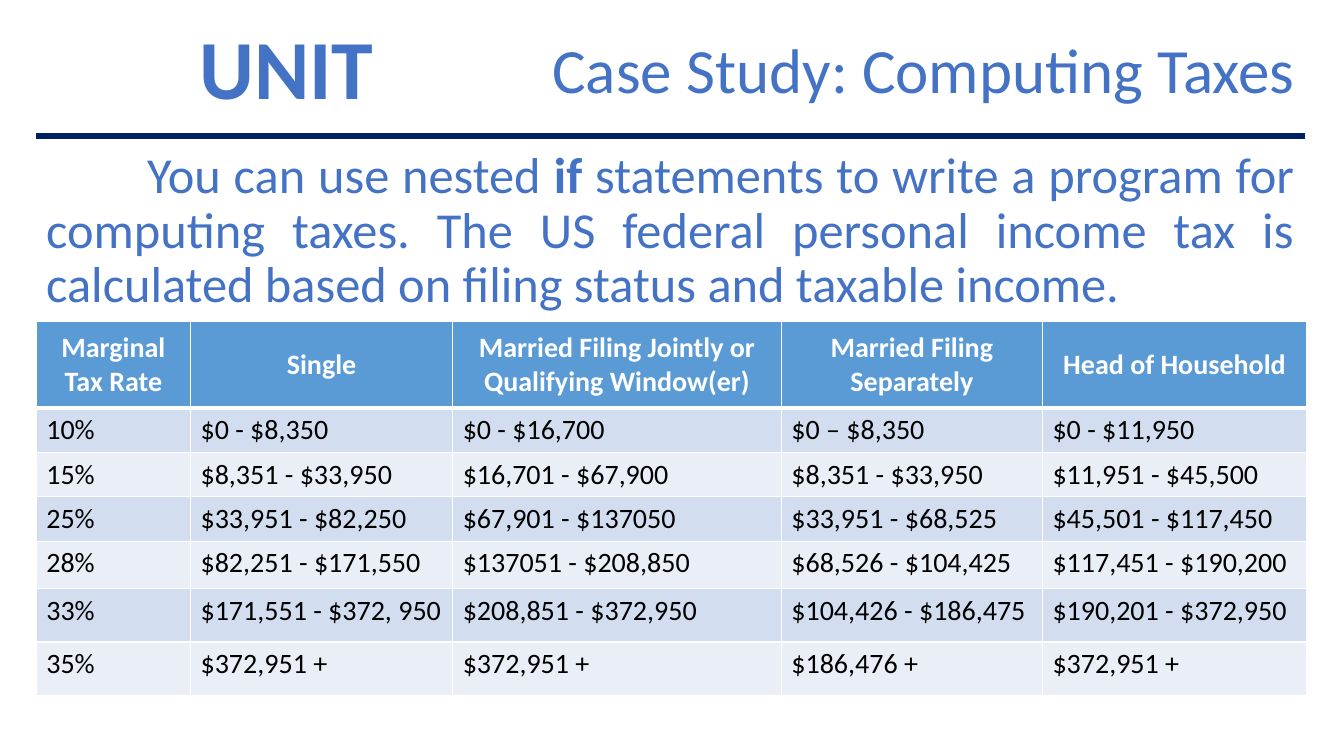
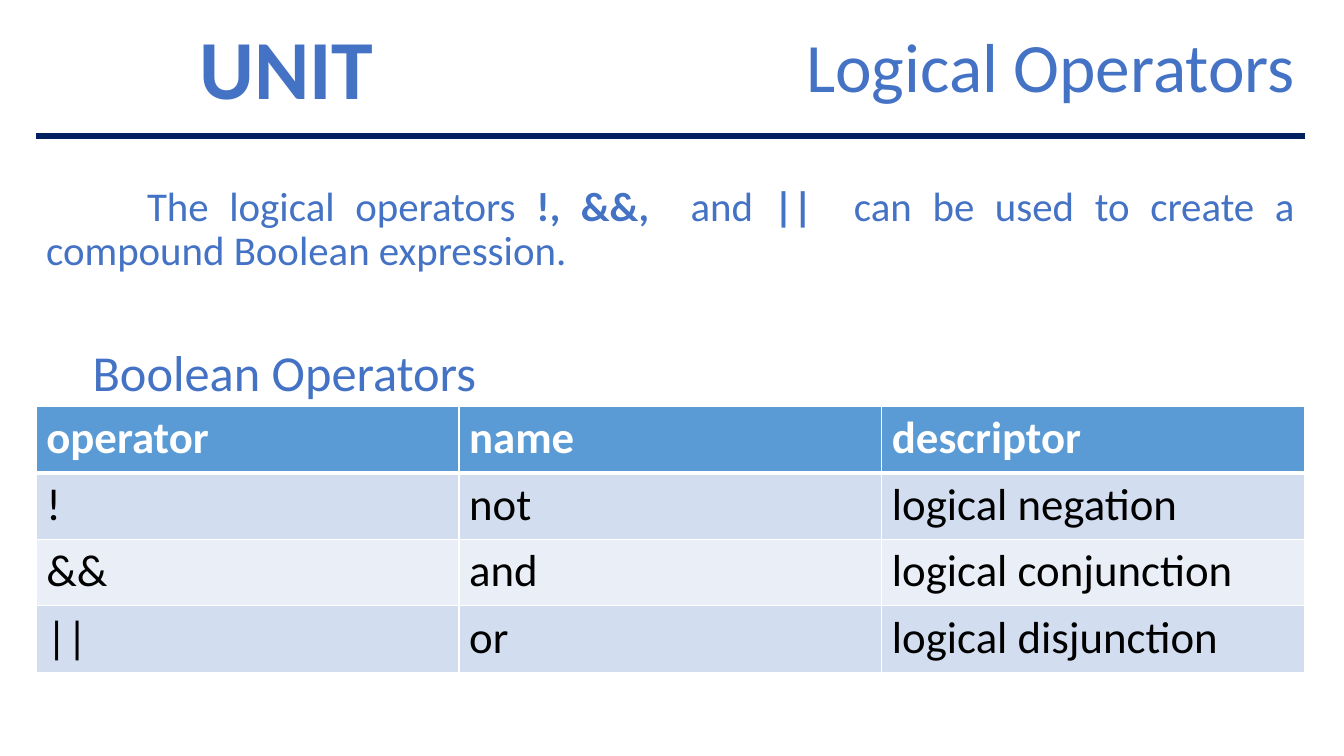
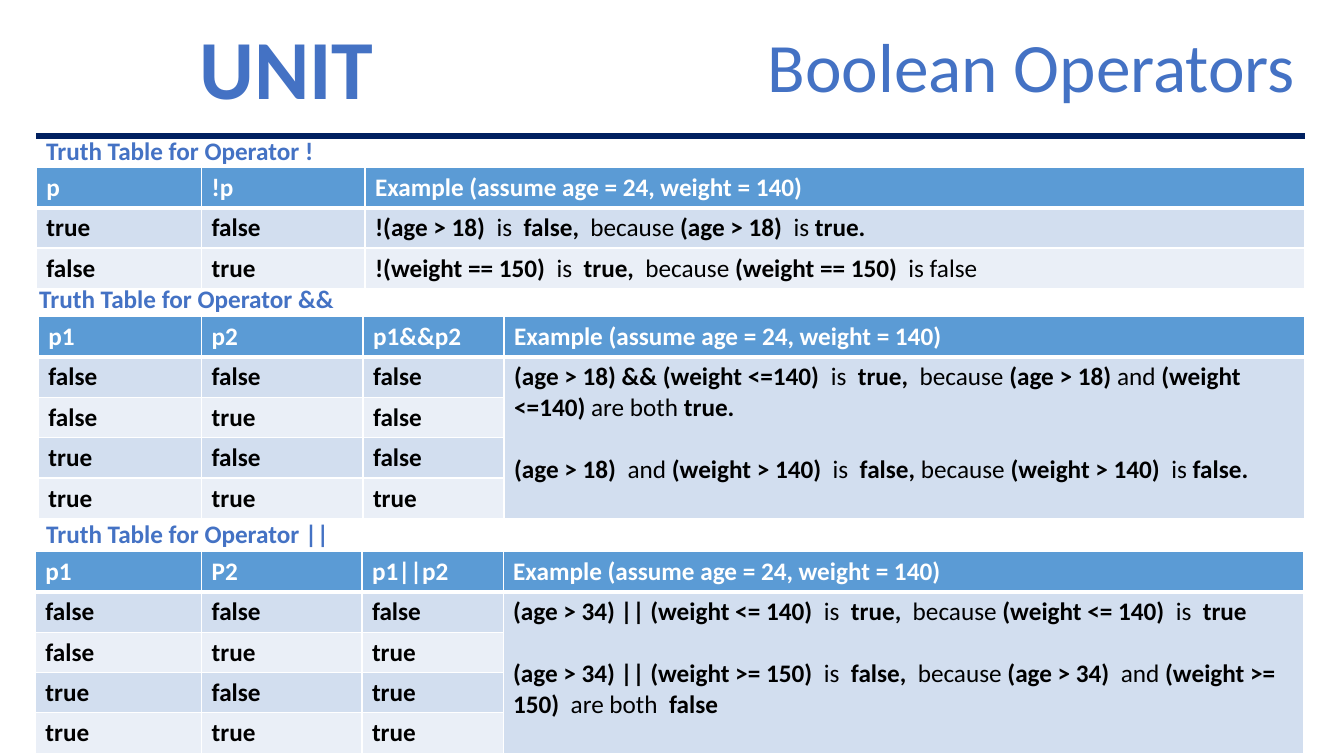
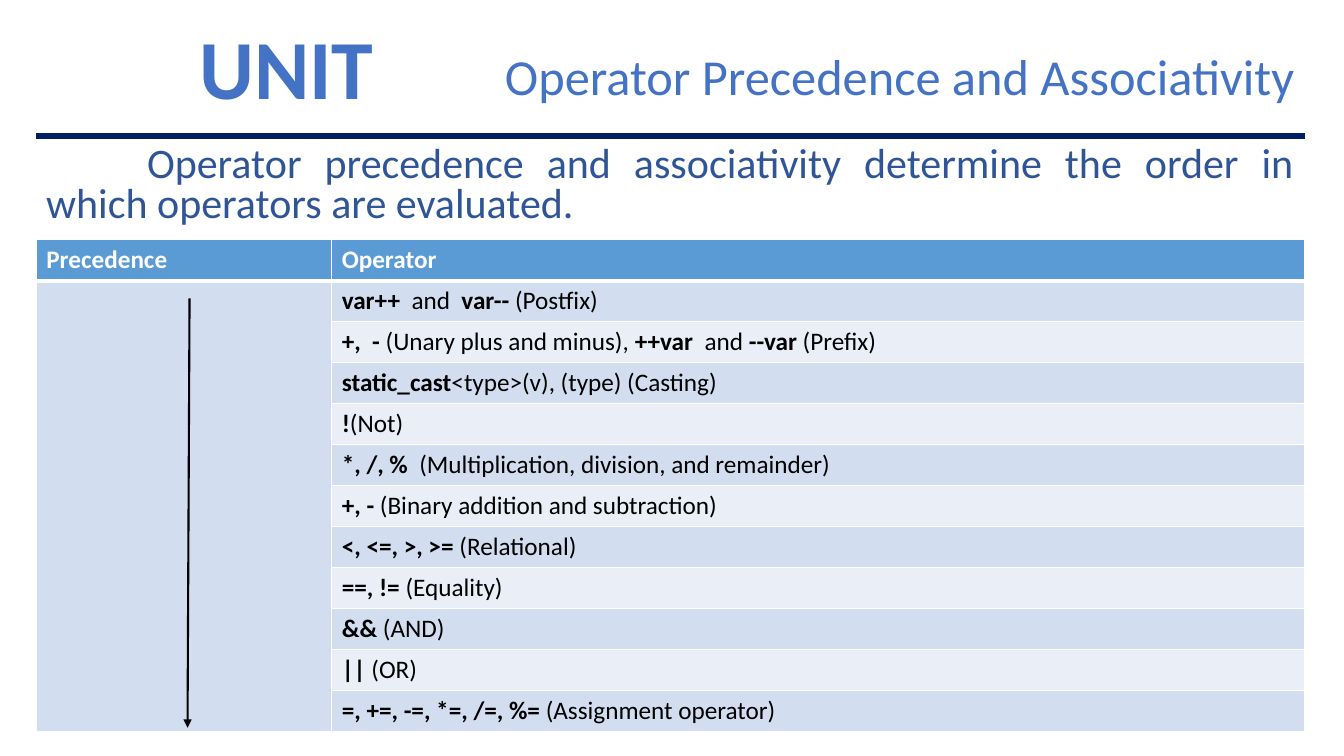
"""Build four slides on tax computation and C++ logical operators."""
import pptx
import pptx.chart.data
import pptx.dml.color
import pptx.enum.shapes
import pptx.enum.text
import pptx.oxml
import pptx.util
from lxml import etree

Inches, Pt = pptx.util.Inches, pptx.util.Pt
RGBColor = pptx.dml.color.RGBColor
ALIGN, ANCHOR = pptx.enum.text.PP_ALIGN, pptx.enum.text.MSO_ANCHOR

BLUE = RGBColor(0x44, 0x72, 0xC4)
DARK_BLUE = RGBColor(0x2F, 0x55, 0x97)
NAVY = RGBColor(0x00, 0x20, 0x60)
HEADER_BLUE = RGBColor(0x5B, 0x9B, 0xD5)
BANDS = RGBColor(0xD2, 0xDE, 0xEF), RGBColor(0xEA, 0xEF, 0xF7)
WHITE, BLACK = RGBColor(255, 255, 255), RGBColor(0, 0, 0)
FONT = "Calibri"
SCHOOL = "UNIT"
LEFT, RIGHT, WIDTH = 0.36, 12.94, 12.58
EXAMPLE = "Example (assume age = 24, weight = 140)"

# Backticks enclose bold words; a cell may hold a list of paragraphs.
TAXES = [
    ["Marginal Tax Rate", "Single", "Married Filing Jointly or Qualifying Window(er)",
     "Married Filing Separately", "Head of Household"],
    ["10%", "$0 - $8,350", "$0 - $16,700", "$0 – $8,350", "$0 - $11,950"],
    ["15%", "$8,351 - $33,950", "$16,701 - $67,900", "$8,351 - $33,950", "$11,951 - $45,500"],
    ["25%", "$33,951 - $82,250", "$67,901 - $137050", "$33,951 - $68,525", "$45,501 - $117,450"],
    ["28%", "$82,251 - $171,550", "$137051 - $208,850", "$68,526 - $104,425", "$117,451 - $190,200"],
    ["33%", "$171,551 - $372, 950", "$208,851 - $372,950", "$104,426 - $186,475", "$190,201 - $372,950"],
    ["35%", "$372,951 +", "$372,951 +", "$186,476 +", "$372,951 +"],
]
OPERATORS = [
    ["operator", "name", "descriptor"],
    ["!", "not", "logical negation"],
    ["&&", "and", "logical conjunction"],
    ["||", "or", "logical disjunction"],
]
NOT_TABLE = [
    ["p", "!p", EXAMPLE],
    ["`true`", "`false`", "`!(age > 18) ` is ` false, ` because `(age > 18) ` is `true.`"],
    ["`false`", "`true`", "`!(weight == 150) ` is ` true, ` because `(weight == 150) ` is false"],
]
AND_EXAMPLES = [
    "`(age > 18) && (weight <=140) ` is ` true, ` because `(age > 18) `and `(weight <=140)` are both `true.`",
    "`(age > 18) ` and `(weight > 140) ` is ` false, `because `(weight > 140) ` is `false.`",
]
OR_EXAMPLES = [
    "`(age > 34) || (weight <= 140) ` is ` true, ` because `(weight <= 140) ` is ` true`",
    "`(age > 34) || (weight >= 150) ` is ` false, ` because `(age > 34) ` and `(weight >= 150) ` are both ` false`",
]
PRECEDENCE = [
    "`var++ ` and  `var-- `(Postfix)",
    "`+,  - `(Unary plus and minus), `++var ` and `--var `(Prefix)",
    "`static_cast`<type>(v), (type) (Casting)",
    "`!`(Not)",
    "`*, /, %`  (Multiplication, division, and remainder)",
    "`+, -` (Binary addition and subtraction)",
    "`<, <=, >, >= `(Relational)",
    "`==, != `(Equality)",
    "`&&` (AND)",
    "`|| `(OR)",
    "`=, +=, -=, *=, /=, %= `(Assignment operator)",
]


def truth_table(header, outcome, examples):
    """Return the rows of a two-operand truth table with its examples."""
    rows = [header + [EXAMPLE]]
    for p1 in (False, True):
        for p2 in (False, True):
            words = [f"`{str(value).lower()}`" for value in (p1, p2, outcome(p1, p2))]
            rows.append(words + [examples if len(rows) == 1 else ""])
    return rows


def write(paragraph, text, size, color, bold=False):
    """Add the runs of a marked-up text."""
    for index, part in enumerate(text.split("`")):
        if part:
            run = paragraph.add_run()
            run.text = part
            run.font.name, run.font.size = FONT, Pt(size)
            run.font.color.rgb = color
            run.font.bold = bold or index % 2 == 1


def add_text(slide, box, text, size, color=BLUE, bold=False, align=ALIGN.LEFT,
             spacing=None, before=0, anchor=ANCHOR.TOP, wrap=True, indent=0):
    """Add a one-paragraph text box."""
    frame = slide.shapes.add_textbox(*map(Inches, box)).text_frame
    frame.word_wrap, frame.vertical_anchor = wrap, anchor
    paragraph = frame.paragraphs[0]
    paragraph.alignment, paragraph.space_before = align, Pt(before)
    if spacing:
        paragraph.line_spacing = spacing
    if indent:
        paragraph._p.get_or_add_pPr().set("indent", str(Inches(indent)))
    write(paragraph, text, size, color, bold)


def add_body(slide, box, text, size, **style):
    """Add a justified paragraph with an indented first line."""
    add_text(slide, box, text, size, align=ALIGN.JUSTIFY, indent=1, **style)


def add_label(slide, left, top, width, text):
    """Add the bold heading of a truth table."""
    add_text(slide, (left, top, width, 0.4), text, 18, bold=True, wrap=False)


def add_line(slide, start, end, color, width, arrow=False):
    """Add a straight line, with an arrowhead if asked."""
    line = slide.shapes.add_connector(
        pptx.enum.shapes.MSO_CONNECTOR.STRAIGHT, *map(Inches, start + end))
    line.line.color.rgb, line.line.width = color, Pt(width)
    if arrow:
        etree.SubElement(line.line._get_or_add_ln(), pptx.oxml.ns.qn("a:tailEnd"), type="triangle")
    etree.SubElement(line._element.spPr, pptx.oxml.ns.qn("a:effectLst"))


def add_borders(cell, row):
    """Give a cell white borders, thick below the header."""
    widths = {"L": 1, "R": 1, "T": 3 if row == 1 else 1, "B": 3 if row == 0 else 1}
    for side, width in widths.items():
        border = etree.SubElement(cell._tc.get_or_add_tcPr(),
                                  pptx.oxml.ns.qn("a:ln" + side), w=str(Pt(width)))
        fill = etree.SubElement(border, pptx.oxml.ns.qn("a:solidFill"))
        etree.SubElement(fill, pptx.oxml.ns.qn("a:srgbClr"), val=str(WHITE))


def add_grid(slide, left, top, columns, heights, rows, size, centred=False, merged=None):
    """Add a banded table; the merged column spans all rows below the header."""
    table = slide.shapes.add_table(
        len(rows), len(columns), *map(Inches, (left, top, sum(columns), sum(heights)))).table
    for column, width in zip(table.columns, columns):
        column.width = Inches(width)
    for r, (row, height) in enumerate(zip(rows, heights)):
        table.rows[r].height = Inches(height)
        for c, content in enumerate(row):
            cell = table.cell(r, c)
            header = r == 0
            add_borders(cell, r)
            cell.fill.solid()
            cell.fill.fore_color.rgb = HEADER_BLUE if header else BANDS[0 if c == merged else (r - 1) % 2]
            texts = content if isinstance(content, list) else [content]
            for i, text in enumerate(texts):
                frame = cell.text_frame
                paragraph = frame.add_paragraph() if i else frame.paragraphs[0]
                paragraph.space_before = Pt(22 if i else 0)
                write(paragraph, text, size, WHITE if header else BLACK, header)
                if header and centred:
                    paragraph.alignment = ALIGN.CENTER
                    cell.vertical_anchor = ANCHOR.MIDDLE
    if merged is not None:
        table.cell(1, merged).merge(table.cell(len(rows) - 1, merged))


def add_slide(deck, title, size, left):
    """Add a slide with the shared header."""
    slide = deck.slides.add_slide(deck.slide_layouts[6])
    add_text(slide, (1.88, 0.26, 1.93, 0.81), SCHOOL, 60, bold=True,
             align=ALIGN.JUSTIFY, spacing=0.85, before=13)
    add_line(slide, (LEFT, 1.35), (RIGHT, 1.35), NAVY, 4.5)
    add_text(slide, (left, 0.33, RIGHT - left, 0.75), title, size,
             align=ALIGN.RIGHT, spacing=0.7, anchor=ANCHOR.BOTTOM)
    return slide


def main():
    """Build and save the deck."""
    deck = pptx.Presentation()
    deck.slide_width, deck.slide_height = Inches(13.33), Inches(7.5)

    taxes = add_slide(deck, "Case Study: Computing Taxes", 45, 5.09)
    add_body(taxes, (LEFT, 1.44, WIDTH, 1.75),
             "You can use nested `if `statements to write a program for computing taxes. "
             "The US federal personal income tax is calculated based on filing status and taxable income.",
             36, spacing=0.9, before=10)
    add_grid(taxes, LEFT, 3.19, [1.53, 2.6, 3.26, 2.59, 2.62],
             [0.86] + [0.44] * 3 + [0.47, 0.53, 0.53], TAXES, 20, centred=True)

    logical = add_slide(deck, "Logical Operators", 49.5, 5.91)
    add_body(logical, (LEFT, 1.8, WIDTH, 0.99),
             "The logical operators `!, &&, ` and `|| ` can be used to create a compound Boolean expression.",
             29.2, spacing=0.9)
    add_grid(logical, LEFT, 4.03, [WIDTH / 3] * 3, [0.66] * 4, OPERATORS, 32)
    add_text(logical, (0.82, 3.33, 4.04, 0.71), "Boolean Operators", 36, wrap=False)

    boolean = add_slide(deck, "Boolean Operators", 49.5, 5.22)
    add_grid(boolean, LEFT, 1.66, [1.64, 1.62, 9.32], [0.4] * 3, NOT_TABLE, 18)
    add_label(boolean, LEFT, 1.29, 2.87, "Truth Table for Operator !")
    and_rows = truth_table(["p1", "p2", "p1&&p2"], lambda p, q: p and q, AND_EXAMPLES)
    add_grid(boolean, 0.38, 3.14, [1.62, 1.6, 1.4, 7.94], [0.4] * 5, and_rows, 18, merged=3)
    add_label(boolean, 0.29, 2.76, 3.15, "Truth Table for Operator &&")
    or_rows = truth_table(["p1", "P2", "p1||p2"], lambda p, q: p or q, OR_EXAMPLES)
    add_grid(boolean, 0.35, 5.47, [1.65, 1.59, 1.4, 7.94], [0.4] * 5, or_rows, 18, merged=3)
    add_label(boolean, LEFT, 5.09, 3.03, "Truth Table for Operator ||")

    precedence = add_slide(deck, "Operator Precedence and Associativity", 36, 4.86)
    add_body(precedence, (LEFT, 1.4, WIDTH, 0.97),
             "Operator precedence and associativity determine the order in which operators are evaluated.",
             30, color=DARK_BLUE, spacing=0.8, before=10)
    rows = [["Precedence", "Operator"]] + [["", operator] for operator in PRECEDENCE]
    add_grid(precedence, LEFT, 2.38, [2.93, 9.65], [4.88 / len(rows)] * len(rows), rows, 18, merged=0)
    add_line(precedence, (1.88, 2.96), (1.86, 7.22), BLACK, 1.5, arrow=True)

    deck.save("out.pptx")


if __name__ == "__main__":
    main()
